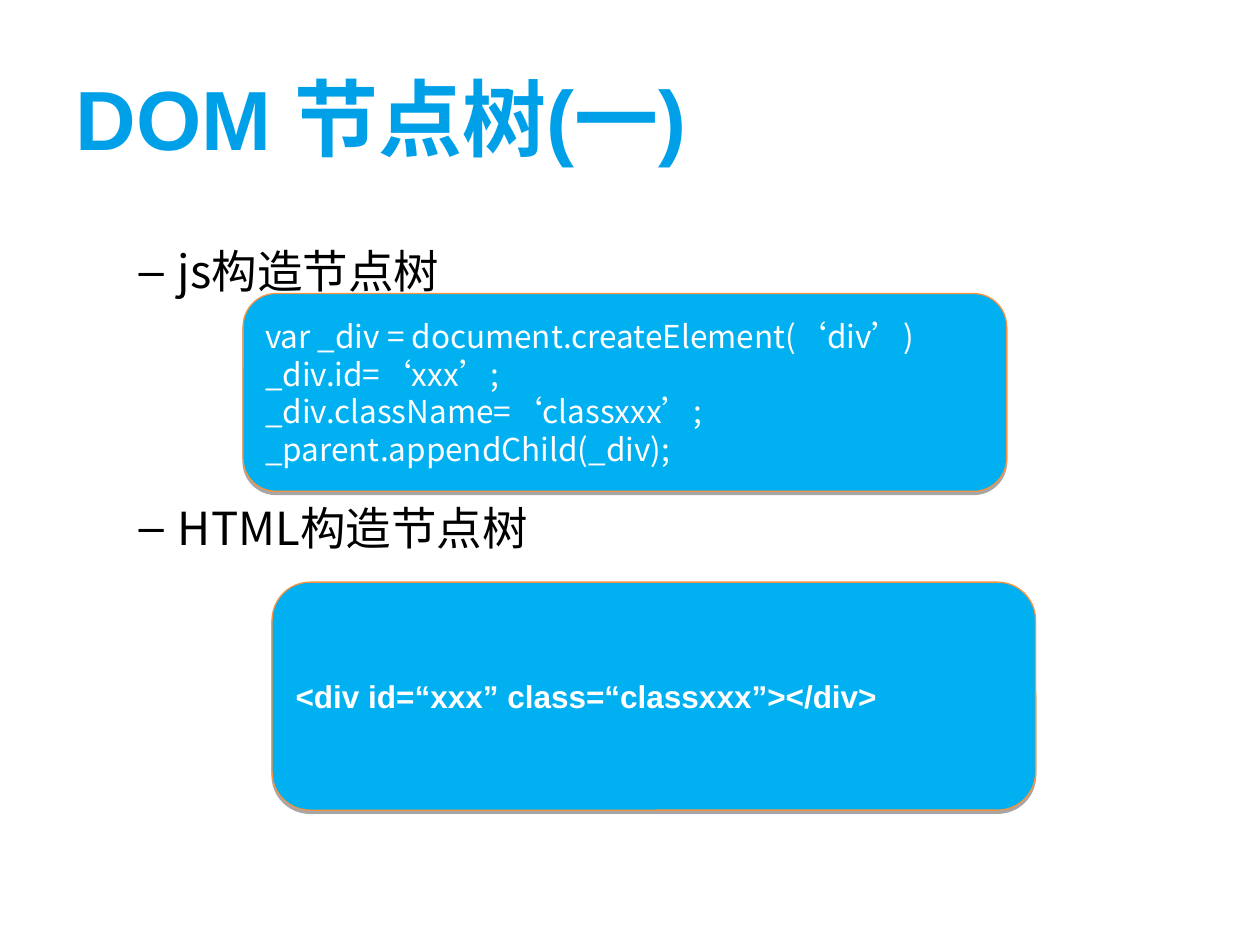
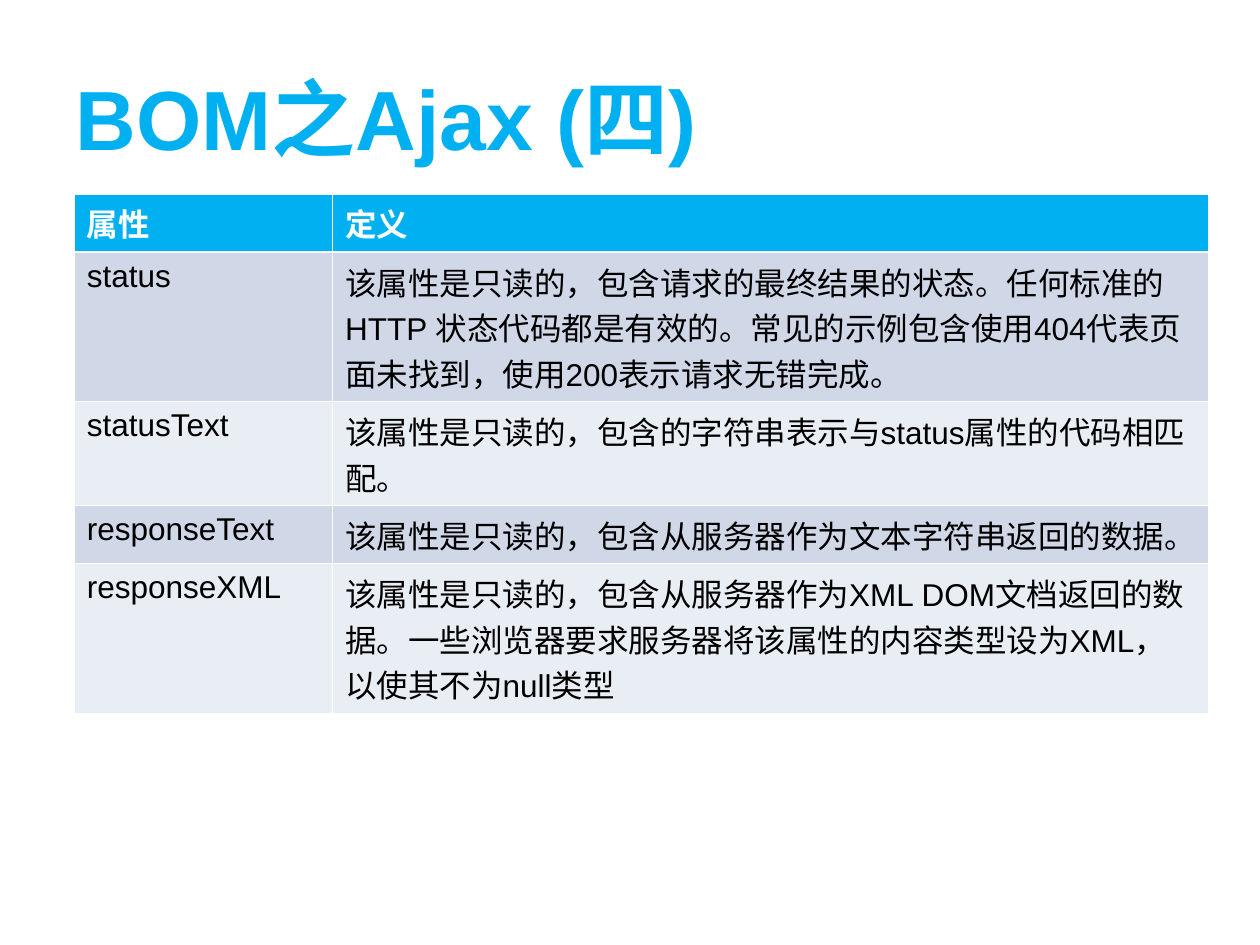
from lxml import etree
from pptx import Presentation
from pptx.dml.color import RGBColor
from pptx.enum import shapes, text
from pptx.oxml.ns import qn
from pptx.util import Inches, Pt

TITLE_BLUE = RGBColor(0x00, 0xA0, 0xE9)
BLUE = RGBColor(0x00, 0xB0, 0xF0)
ORANGE = RGBColor(0xF6, 0x92, 0x40)
BAND_DARK = RGBColor(0xD0, 0xD8, 0xE8)
BAND_LIGHT = RGBColor(0xE9, 0xED, 0xF4)
WHITE = RGBColor(0xFF, 0xFF, 0xFF)
BLACK = RGBColor(0x00, 0x00, 0x00)
LATIN, CJK = "Arial", "Noto Sans CJK SC"

TITLE_BOX = (0.5, 0.3, 9, 1.25)
BODY_BOX = (0.5, 1.75, 9, 4.95)
SCRIPT_BOX = (1.93, 2.33, 6.06, 1.57)
MARKUP_BOX = (2.16, 4.62, 6.06, 1.81)
TABLE_BOX = (0.59, 1.54, 9, 3.57)

SCRIPT_LINES = [
    "var _div = document.createElement(‘div’)",
    "_div.id=‘xxx’;",
    "_div.className=‘classxxx’;",
    "_parent.appendChild(_div);",
]
MARKUP_LINES = ["<div id=“xxx” class=“classxxx”></div>"]
PROPERTIES = [
    ("属性", "定义"),
    ("status", "该属性是只读的，包含请求的最终结果的状态。任何标准的 HTTP 状态代码都是有效的。"
               "常见的示例包含使用404代表页面未找到，使用200表示请求无错完成。"),
    ("statusText", "该属性是只读的，包含的字符串表示与status属性的代码相匹配。"),
    ("responseText", "该属性是只读的，包含从服务器作为文本字符串返回的数据。"),
    ("responseXML", "该属性是只读的，包含从服务器作为XML DOM文档返回的数据。"
                    "一些浏览器要求服务器将该属性的内容类型设为XML，以使其不为null类型"),
]
COL_WIDTHS = (2.05, 6.95)
ROW_HEIGHTS = (0.41, 1, 0.75, 0.4, 1)


def add_run(p, words, size, color, name=LATIN, bold=False):
    p.alignment = text.PP_ALIGN.LEFT
    r = p.add_run()
    r.text = words
    r.font.color.rgb = color
    for key, value in dict(size=Pt(size), name=name, bold=bold).items():
        setattr(r.font, key, value)
    # East Asian typeface follows the Latin one
    ea = etree.Element(qn("a:ea"), typeface=CJK)
    r.font._element.find(qn("a:latin")).addnext(ea)


def place(sp, box):
    for key, value in zip(("left", "top", "width", "height"), box):
        setattr(sp, key, Inches(value))


def add_slide(prs, layout, title, color):
    s = prs.slides.add_slide(prs.slide_layouts[layout])
    place(s.shapes.title, TITLE_BOX)
    tf = s.shapes.title.text_frame
    tf.auto_size = text.MSO_AUTO_SIZE.NONE
    tf.vertical_anchor = text.MSO_ANCHOR.MIDDLE
    add_run(tf.paragraphs[0], title, 48, color, bold=True)
    return s


def fill_list(sp, box, items, gap):
    place(sp, box)
    tf = sp.text_frame
    tf.auto_size = text.MSO_AUTO_SIZE.NONE
    for i, item in enumerate(items):
        p = tf.add_paragraph() if i else tf.paragraphs[0]
        p.level = 1
        p.line_spacing = 1.3
        p.space_before = Pt(gap if i else 0)
        add_run(p, item, 26, BLACK, CJK)


def add_code_box(s, box, lines, name, bold):
    sp = s.shapes.add_shape(shapes.MSO_SHAPE.ROUNDED_RECTANGLE, *map(Inches, box))
    sp.fill.solid()
    sp.fill.fore_color.rgb = BLUE
    sp.line.color.rgb = ORANGE
    sp.line.width = Pt(0.75)
    # Thin shadow straight below
    sp.shadow.inherit = False
    effects = sp._element.spPr.find(qn("a:effectLst"))
    shadow = etree.SubElement(effects, qn("a:outerShdw"), blurRad="0", dist=str(Pt(1.8)),
                              dir="5400000", rotWithShape="0")
    shade = etree.SubElement(shadow, qn("a:srgbClr"), val=str(BLACK))
    etree.SubElement(shade, qn("a:alpha"), val="35000")

    tf = sp.text_frame
    tf.word_wrap = True
    tf.vertical_anchor = text.MSO_ANCHOR.MIDDLE
    for i, line in enumerate(lines):
        p = tf.add_paragraph() if i else tf.paragraphs[0]
        add_run(p, line, 18, WHITE, name, bold)


def set_borders(cell, **widths):
    tcPr = cell._tc.get_or_add_tcPr()
    for side in "LRTB":
        ln = etree.SubElement(tcPr, qn(f"a:ln{side}"), w=str(Pt(widths.get(side, 0.45))))
        fill = etree.SubElement(ln, qn("a:solidFill"))
        etree.SubElement(fill, qn("a:srgbClr"), val=str(WHITE))


def add_property_table(s, box, rows):
    table = s.shapes.add_table(len(rows), len(COL_WIDTHS), *map(Inches, box)).table
    for column, width in zip(table.columns, COL_WIDTHS):
        column.width = Inches(width)
    for i, (row, height) in enumerate(zip(rows, ROW_HEIGHTS)):
        table.rows[i].height = Inches(height)
        header = i == 0
        band = BLUE if header else (BAND_LIGHT, BAND_DARK)[i % 2]
        # Heavier rule between the header and the first row
        heavy = {0: {"B": 1.47}, 1: {"T": 1.47}}.get(i, {})
        for j, words in enumerate(row):
            cell = table.cell(i, j)
            set_borders(cell, **heavy)
            cell.fill.solid()
            cell.fill.fore_color.rgb = band
            add_run(cell.text_frame.paragraphs[0], words, 18,
                    WHITE if header else BLACK, bold=header)


def build_node_tree(prs):
    s = add_slide(prs, 1, "DOM 节点树(一)", TITLE_BLUE)
    fill_list(s.placeholders[1], BODY_BOX, ["js构造节点树", "HTML构造节点树"], 106)
    add_code_box(s, SCRIPT_BOX, SCRIPT_LINES, CJK, False)
    add_code_box(s, MARKUP_BOX, MARKUP_LINES, LATIN, True)


def build_ajax(prs):
    s = add_slide(prs, 5, "BOM之Ajax (四)", BLUE)
    add_property_table(s, TABLE_BOX, PROPERTIES)


def main():
    prs = Presentation()
    prs.slide_width, prs.slide_height = Inches(10), Inches(7.5)
    build_node_tree(prs)
    build_ajax(prs)
    prs.save("out.pptx")


if __name__ == "__main__":
    main()
